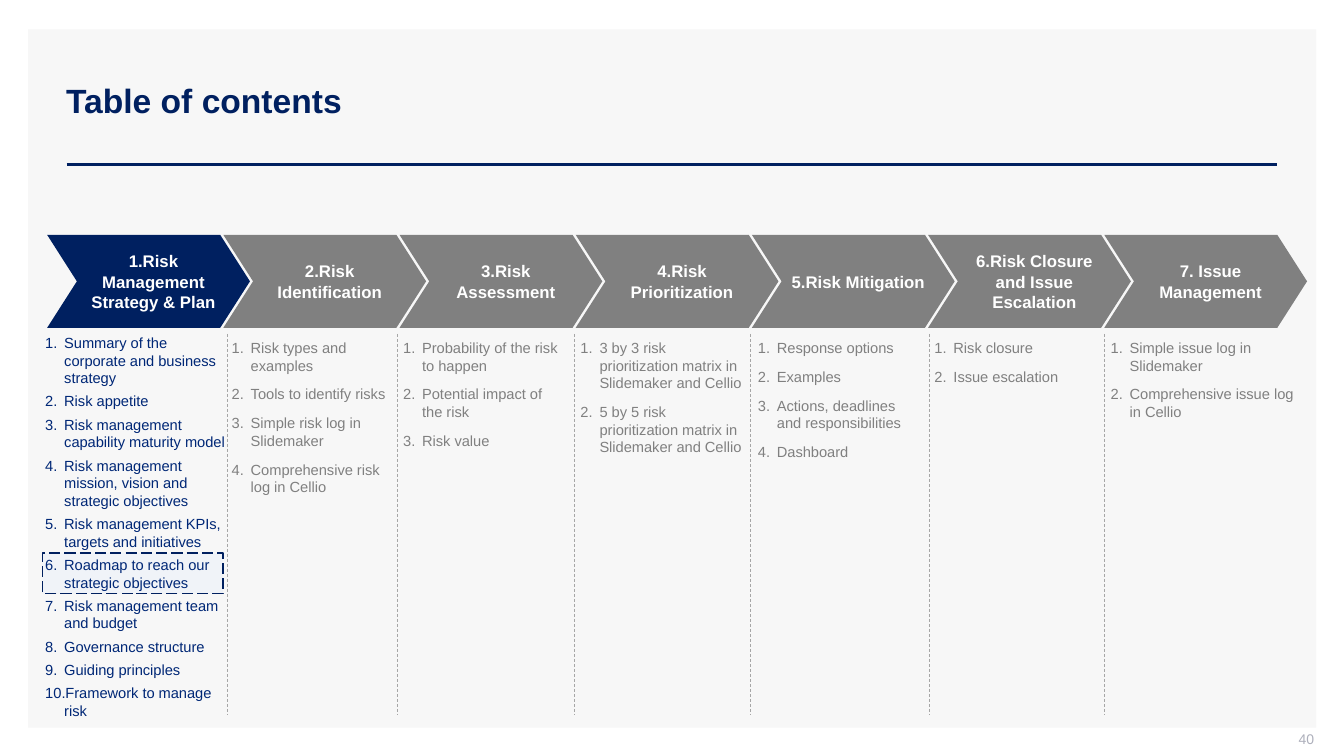
from lxml.etree import SubElement
from pptx import Presentation
from pptx.dml.color import RGBColor
from pptx.enum.dml import MSO_LINE
from pptx.enum.shapes import MSO_CONNECTOR, MSO_SHAPE
from pptx.enum.text import MSO_ANCHOR, MSO_AUTO_SIZE, PP_ALIGN
from pptx.oxml.ns import qn
from pptx.util import Cm, Pt

COLORS = {"navy": "002060", "list": "002776", "gray": "808080", "panel": "F7F7F7",
          "tint": "D6E3FF", "rule": "A6A6A6", "number": "ADAFBB", "white": "FFFFFF"}
RGB = {name: RGBColor.from_string(value) for name, value in COLORS.items()}

FRAME = {"word_wrap": True, "vertical_anchor": MSO_ANCHOR.MIDDLE}
TITLE_FRAME = FRAME | {"margin_left": Cm(0.25), "margin_right": Cm(0.25)}
NUMBER_FRAME = FRAME | {"margin_left": Cm(0.25), "margin_right": 0,
                        "margin_top": 0, "margin_bottom": Cm(0.13)}
STEP_FRAME = FRAME | {"margin_left": Cm(0.25), "margin_right": 0,
                      "margin_top": Cm(0.13), "margin_bottom": Cm(0.13)}
LIST_FRAME = {"word_wrap": True, "auto_size": MSO_AUTO_SIZE.SHAPE_TO_FIT_TEXT,
              "vertical_anchor": MSO_ANCHOR.TOP, "margin_left": 0, "margin_right": Cm(0.25),
              "margin_top": Cm(0.13), "margin_bottom": Cm(0.13)}

STEPS = [
    ("1.Risk Management Strategy & Plan", 1.14, 8.28, 4.83, 10.06, [
        "Summary of the corporate and business strategy",
        "Risk appetite",
        "Risk management capability maturity model",
        "Risk management mission, vision and strategic objectives",
        "Risk management KPIs, targets and initiatives",
        "Roadmap to reach our strategic objectives",
        "Risk management team and budget",
        "Governance structure",
        "Guiding principles",
        "Framework to manage risk"]),
    ("2.Risk Identification", 5.84, 8.41, 4.32, 4.98, [
        "Risk types and examples",
        "Tools to identify risks",
        "Simple risk log in Slidemaker",
        "Comprehensive risk log in Cellio"]),
    ("3.Risk Assessment", 10.16, 8.41, 4.34, 3.81, [
        "Probability of the risk to happen",
        "Potential impact of the risk",
        "Risk value"]),
    ("4.Risk Prioritization", 14.63, 8.41, 4.47, 3.23, [
        "3 by 3 risk prioritization matrix in Slidemaker and Cellio",
        "5 by 5 risk prioritization matrix in Slidemaker and Cellio"]),
    ("5.Risk Mitigation", 19.1, 8.41, 4.27, 3.35, [
        "Response options",
        "Examples",
        "Actions, deadlines and responsibilities",
        "Dashboard"]),
    ("6.Risk Closure and Issue Escalation", 23.55, 8.41, 4.88, 1.45, [
        "Risk closure",
        "Issue escalation"]),
    ("7. Issue Management", 27.99, 8.41, 4.88, 3.07, [
        "Simple issue log in Slidemaker",
        "Comprehensive issue log in Cellio"]),
]


def write(sp, lines, frame, font, align=PP_ALIGN.LEFT, gap=0, numbered=False):
    tf = sp.text_frame
    for name, value in frame.items():
        setattr(tf, name, value)
    for i, line in enumerate(lines):
        p = tf.add_paragraph() if i else tf.paragraphs[0]
        p.alignment = align
        p.space_before = Pt(gap if i else 0)
        p.space_after = Pt(gap)
        if numbered:
            pPr = p._p.get_or_add_pPr()
            pPr.set("marL", str(Cm(0.48)))
            pPr.set("indent", str(-Cm(0.48)))
            SubElement(pPr, qn("a:buFont"), typeface="+mj-lt")
            SubElement(pPr, qn("a:buAutoNum"), type="arabicPeriod")
        r = p.add_run()
        r.text = line
        r.font.name = "Arial"
        r.font.color.rgb = RGB[font["color"]]
        r.font.size = Pt(font["size"])
        r.font.bold = font.get("bold", False)


def add_rule(x1, y1, x2, y2, color, width, dash=None):
    line = s.shapes.add_connector(MSO_CONNECTOR.STRAIGHT, Cm(x1), Cm(y1), Cm(x2), Cm(y2))
    line.line.color.rgb = RGB[color]
    line.line.width = Pt(width)
    line.line.dash_style = dash
    SubElement(line._element.spPr, qn("a:effectLst"))


prs = Presentation()
prs.slide_width, prs.slide_height = Cm(33.87), Cm(19.05)
s = prs.slides.add_slide(prs.slide_layouts[6])

panel = s.shapes.add_shape(MSO_SHAPE.RECTANGLE, Cm(0.71), Cm(0.74), Cm(32.46), Cm(17.6))
panel.shadow.inherit = False
panel.fill.solid()
panel.fill.fore_color.rgb = RGB["panel"]
panel.line.fill.background()

add_rule(1.68, 4.14, 32.18, 4.14, "navy", 2)

highlight = s.shapes.add_shape(MSO_SHAPE.RECTANGLE, Cm(1.07), Cm(13.94), Cm(4.55), Cm(1.02))
highlight.shadow.inherit = False
highlight.fill.solid()
highlight.fill.fore_color.rgb = RGB["tint"]
SubElement(highlight._element.spPr.find(qn("a:solidFill"))[0], qn("a:alpha"), val="20000")
highlight.line.color.rgb = RGB["navy"]
highlight.line.width = Pt(1)
highlight.line.dash_style = MSO_LINE.LONG_DASH

title = s.shapes.add_textbox(Cm(1.42), Cm(1.02), Cm(30.76), Cm(3.02))
write(title, ["Table of contents"], TITLE_FRAME, {"color": "navy", "size": 24, "bold": True})

number = s.shapes.add_textbox(Cm(25.5), Cm(18.42), Cm(7.62), Cm(0.53))
write(number, ["40"], NUMBER_FRAME, {"color": "number", "size": 10}, PP_ALIGN.RIGHT)

for i, (heading, left, top, width, height, topics) in enumerate(STEPS):
    current = i == 0
    step = s.shapes.add_shape(MSO_SHAPE.CHEVRON, Cm(1.19 + 4.44 * i), Cm(5.92), Cm(5.11), Cm(2.34))
    step.adjustments[0] = 0.32
    step.shadow.inherit = False
    step.fill.solid()
    step.fill.fore_color.rgb = RGB["navy" if current else "gray"]
    step.line.fill.background()
    write(step, [heading], STEP_FRAME, {"color": "white", "size": 12, "bold": True},
          PP_ALIGN.CENTER, gap=6)

    box = s.shapes.add_textbox(Cm(left), Cm(top), Cm(width), Cm(height))
    write(box, topics, LIST_FRAME, {"color": "list" if current else "gray", "size": 10.5},
          gap=2 if current else 4, numbered=True)

for x in (5.72, 10.01, 14.48, 18.92, 23.42, 27.84):
    add_rule(x, 8.41, x, 18.01, "rule", 0.5, MSO_LINE.DASH)

prs.save("out.pptx")
